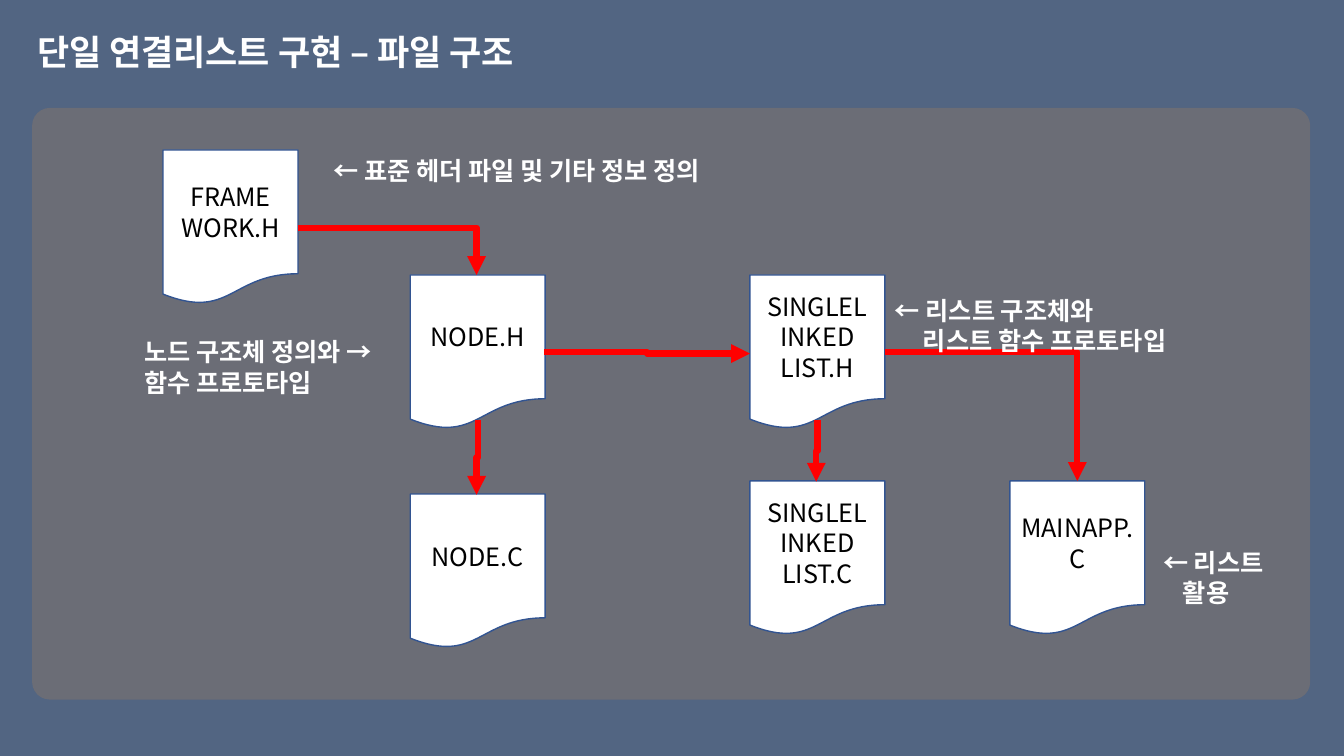
"""Build the slide on the file structure of a singly linked list."""
from typing import NamedTuple

import pptx
import pptx.dml.color
import pptx.enum.shapes
import pptx.enum.text
import pptx.oxml.ns
import pptx.util
from lxml import etree

Cm = pptx.util.Cm
Pt = pptx.util.Pt
RGB = pptx.dml.color.RGBColor
Kind = pptx.enum.shapes.MSO_SHAPE
Align = pptx.enum.text.PP_ALIGN
Anchor = pptx.enum.text.MSO_ANCHOR
Fit = pptx.enum.text.MSO_AUTO_SIZE
qn = pptx.oxml.ns.qn

FONT = "Noto Sans CJK KR"
BACK = RGB(0x52, 0x65, 0x82)
GRAY = RGB(0x76, 0x71, 0x71)
WHITE = RGB(0xFF, 0xFF, 0xFF)
BLACK = RGB(0x00, 0x00, 0x00)
EDGE = RGB(0x32, 0x54, 0x91)
RED = RGB(0xFF, 0x00, 0x00)

WIDE, HIGH = 3.4, 3.89
LEFT, MID, RIGHT = 10.34, 18.9, 25.45
TOP, LOW = 6.93, 12.12


class File(NamedTuple):
    text: str
    x: float
    y: float


class Wire(NamedTuple):
    x1: float
    y1: float
    x2: float
    y2: float
    bend: str = "bentConnector2"
    down: bool = False


class Note(NamedTuple):
    text: str
    x: float
    y: float
    w: float
    h: float
    hang: float = 0


FILES = [
    File("NODE.H", LEFT, TOP),
    File("SINGLEL\vINKED\vLIST.H", MID, TOP),
    File("NODE.C", LEFT, 12.45),
    File("SINGLEL\vINKED\vLIST.C", MID, LOW),
    File("MAINAPP.C", RIGHT, LOW),
    File("FRAME\vWORK.H", 4.11, 3.78),
]
WIRES = [
    Wire(7.52, 5.74, 12.01, TOP),
    Wire(13.72, 8.87, MID, 8.91, "bentConnector3"),
    Wire(12.04, 10.59, 12.01, 12.47, "bentConnector3", True),
    Wire(20.6, 10.59, 20.57, 12.14, "bentConnector3", True),
    Wire(22.3, 8.87, 27.15, LOW),
]
NOTES = [
    Note("← 표준 헤더 파일 및 기타 정보 정의", 8.15, 3.78, 11.18, 1.03),
    Note("노드 구조체 정의와 →\n함수 프로토타입", 3.38, 8.36, 6.96, 1.8),
    Note("← 리스트 구조체와\v리스트 함수 프로토타입", 22.3, 7.32, 8.28, 1.8, 0.71),
    Note("← 리스트\v활용", 29.06, 13.67, 3.53, 1.8, 0.5),
]


def write(shape, text: str, *, size: float = 18, color: RGB = WHITE,
          bold: bool = False, align=Align.LEFT, anchor=Anchor.TOP,
          wrap: bool = True, space: float = 1, hang: float = 0) -> None:
    frame = shape.text_frame
    frame.text = text
    frame.word_wrap = wrap
    frame.vertical_anchor = anchor
    for para in frame.paragraphs:
        para.alignment = align
        para.line_spacing = space
        if hang:
            props = para._p.get_or_add_pPr()
            props.set("marL", str(Cm(hang)))
            props.set("indent", str(-Cm(hang)))
        for run in para.runs:
            font = run.font
            font.name, font.size, font.bold = FONT, Pt(size), bold
            font.color.rgb = color
            latin = run._r.rPr.find(qn("a:latin"))
            east = etree.Element(qn("a:ea"), typeface=FONT)
            latin.addnext(east)


def block(slide, kind, x: float, y: float, w: float, h: float, fill: RGB):
    shape = slide.shapes.add_shape(kind, Cm(x), Cm(y), Cm(w), Cm(h))
    shape.shadow.inherit = False
    shape.fill.solid()
    shape.fill.fore_color.rgb = fill
    return shape


def panel(slide) -> None:
    shape = block(slide, Kind.ROUNDED_RECTANGLE, 0.81, 2.72, 32.21, 14.91, GRAY)
    shape.adjustments[0] = 0.03
    shape.line.fill.background()
    color = shape.element.spPr.find(qn("a:solidFill"))[0]
    etree.SubElement(color, qn("a:alpha"), val="70000")


def sheet(slide, file: File) -> None:
    shape = block(slide, Kind.FLOWCHART_DOCUMENT, file.x, file.y, WIDE, HIGH, WHITE)
    shape.line.color.rgb = EDGE
    shape.line.width = Pt(1)
    write(shape, file.text, color=BLACK, align=Align.CENTER, anchor=Anchor.MIDDLE)


def arrow(slide, wire: Wire) -> None:
    x1, y1, x2, y2 = wire.x1, wire.y1, wire.x2, wire.y2
    if wire.down:
        midx, midy = (x1 + x2) / 2, (y1 + y2) / 2
        long, thick = (y2 - y1) / 2, (x1 - x2) / 2
        x1, y1, x2, y2 = midx - long, midy - thick, midx + long, midy + thick
    link = slide.shapes.add_connector(
        pptx.enum.shapes.MSO_CONNECTOR.ELBOW, Cm(x1), Cm(y1), Cm(x2), Cm(y2))
    link.line.color.rgb = RED
    link.line.width = Pt(4.5)
    props = link.element.spPr
    props.find(qn("a:prstGeom")).set("prst", wire.bend)
    if wire.down:
        props.find(qn("a:xfrm")).set("rot", "5400000")
    etree.SubElement(props.find(qn("a:ln")), qn("a:tailEnd"), type="triangle")
    etree.SubElement(props, qn("a:effectLst"))


def label(slide, note: Note) -> None:
    box = slide.shapes.add_textbox(Cm(note.x), Cm(note.y), Cm(note.w), Cm(note.h))
    write(box, note.text, bold=True, wrap=False, hang=note.hang)
    box.text_frame.auto_size = Fit.SHAPE_TO_FIT_TEXT


def main() -> None:
    deck = pptx.Presentation()
    deck.slide_width, deck.slide_height = Cm(33.87), Cm(19.05)
    slide = deck.slides.add_slide(deck.slide_layouts[6])
    slide.background.fill.solid()
    slide.background.fill.fore_color.rgb = BACK
    title = slide.shapes.add_textbox(Cm(0.69), Cm(0.76), Cm(16.94), Cm(1.98))
    write(title, "단일 연결리스트 구현 – 파일 구조", size=25, bold=True, space=0.9)
    panel(slide)
    for file in FILES:
        sheet(slide, file)
    for wire in WIRES:
        arrow(slide, wire)
    for note in NOTES:
        label(slide, note)
    deck.save("out.pptx")


if __name__ == "__main__":
    main()
